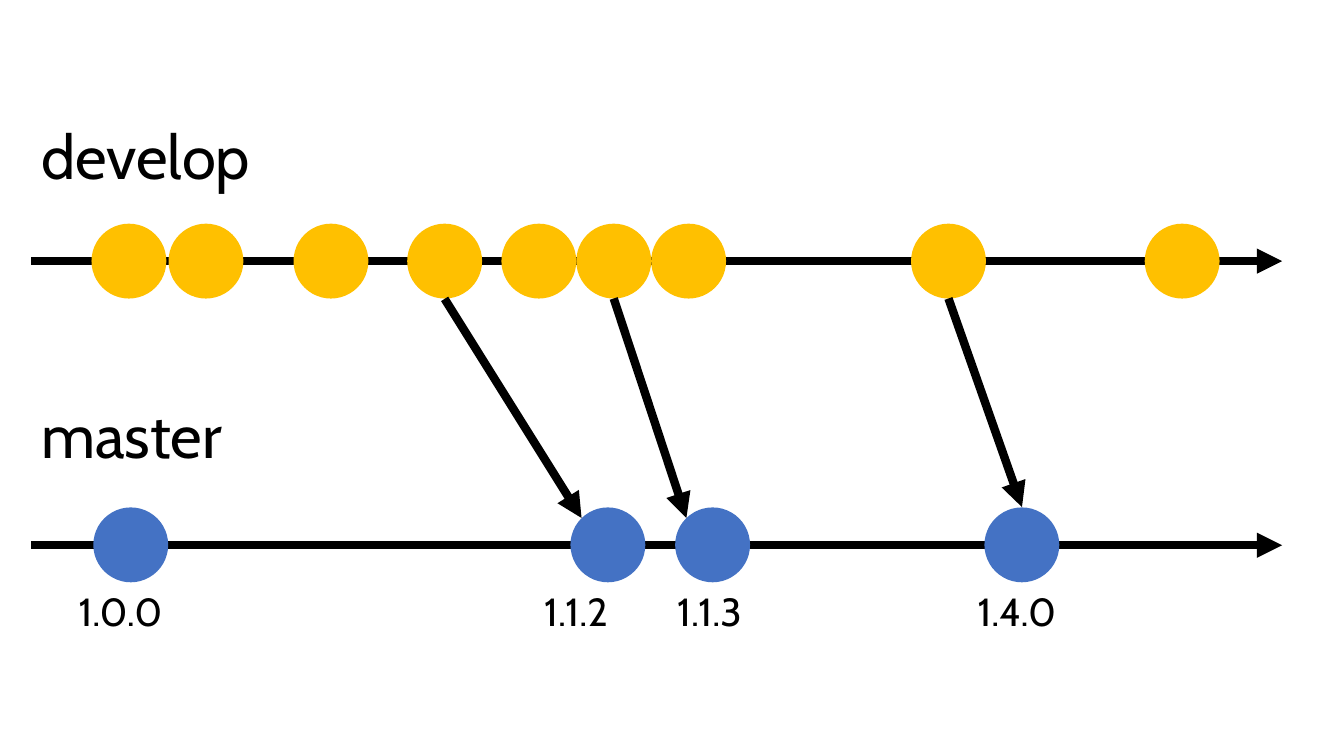
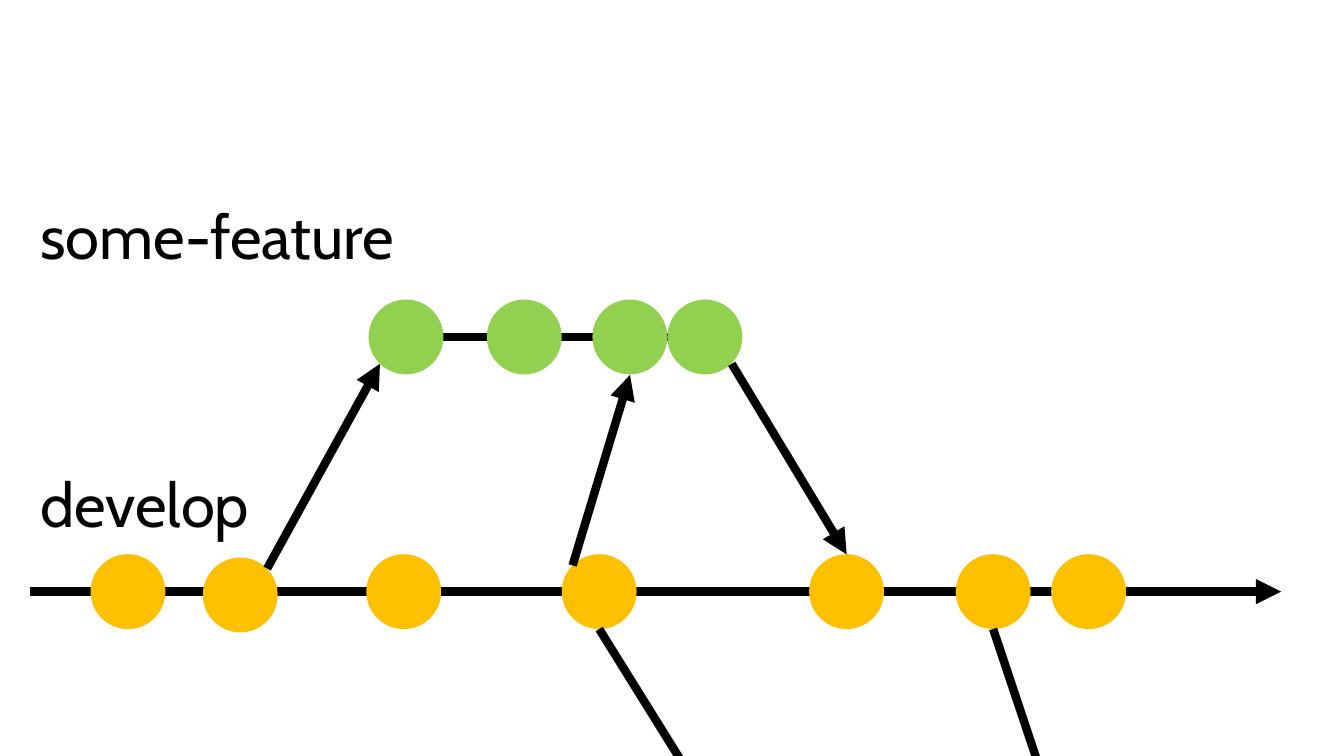
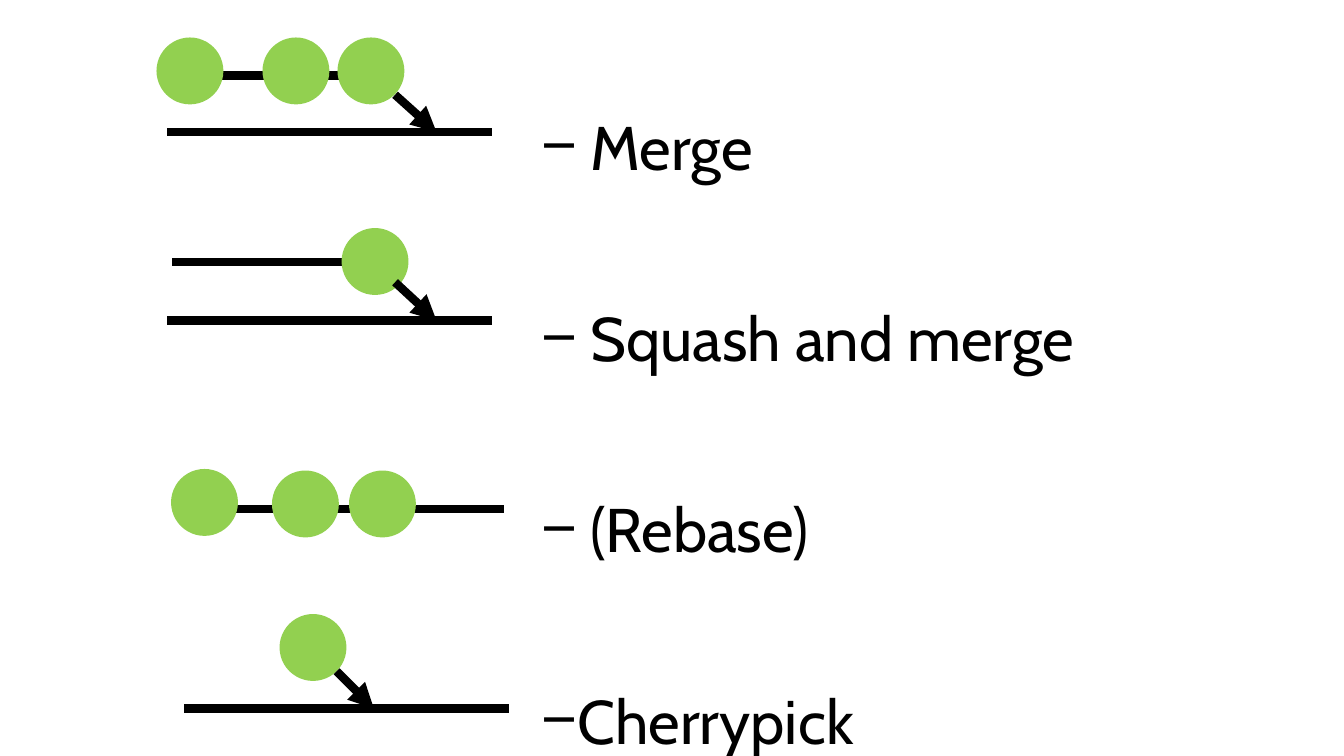
"""Three slides on branches, releases and ways of merging."""
from dataclasses import dataclass

from lxml import etree
from pptx import Presentation
from pptx.dml.color import RGBColor
from pptx.enum.shapes import MSO_CONNECTOR, MSO_SHAPE
from pptx.enum.text import MSO_ANCHOR, MSO_AUTO_SIZE
from pptx.oxml.ns import qn
from pptx.util import Pt

STRAIGHT = MSO_CONNECTOR.STRAIGHT
OVAL = MSO_SHAPE.OVAL
TOP = MSO_ANCHOR.TOP
NO_FIT = MSO_AUTO_SIZE.NONE
CONTENT_LAYOUT, BLANK_LAYOUT = 1, 6


@dataclass(frozen=True)
class Theme:
    font: str = "Cabin"
    ink: RGBColor = RGBColor(0x00, 0x00, 0x00)
    master: RGBColor = RGBColor(0x44, 0x72, 0xC4)
    develop: RGBColor = RGBColor(0xFF, 0xC0, 0x00)
    feature: RGBColor = RGBColor(0x92, 0xD0, 0x50)
    label_size: float = 44
    version_size: float = 28
    stroke: float = 6
    commit: float = 53.5
    small_commit: float = 47.8


THEME = Theme()


@dataclass(frozen=True)
class Line:
    x1: float
    y1: float
    x2: float
    y2: float
    arrow: bool = True


@dataclass(frozen=True)
class Commits:
    color: RGBColor
    y: float
    centers: tuple[float, ...]
    size: float = THEME.commit


@dataclass(frozen=True)
class Diagram:
    lanes: tuple[Line, ...]
    commits: tuple[Commits, ...]
    arrows: tuple[Line, ...] = ()


@dataclass(frozen=True)
class Label:
    text: str
    x: float
    y: float
    w: float
    h: float
    size: float = THEME.label_size
    spacing: float = 0.8


def small(y: float, *centers: float) -> Commits:
    return Commits(THEME.feature, y, centers, THEME.small_commit)


def base(x: float, y: float) -> Line:
    return Line(x, y, x + 231.9, y, arrow=False)


RELEASES = Diagram(
    lanes=(Line(22.3, 389.5, 915.8, 389.5), Line(22.3, 186.5, 915.8, 186.5)),
    commits=(
        Commits(THEME.master, 389.2, (93.4, 434.2, 509, 729.9)),
        Commits(THEME.develop, 186.5,
                (92.1, 147.1, 236.4, 317.6, 384.9, 438.4, 491.9, 677.5, 844.4)),
    ),
    arrows=(
        Line(317.6, 213.5, 415.4, 370),
        Line(438.4, 213.2, 490.3, 370),
        Line(677.5, 213.2, 730, 362.2),
    ),
)

FEATURE = Diagram(
    lanes=(Line(288, 240.6, 522.7, 240.6), Line(21.6, 422.6, 915.1, 422.6)),
    commits=(
        Commits(THEME.develop, 422.6, (91.4, 288.4, 428, 604.7, 709.4, 777.6)),
        Commits(THEME.develop, 425, (171.6,)),
        Commits(THEME.feature, 240.7, (290, 374.5, 449.9, 503.5)),
    ),
    arrows=(
        Line(428, 449.3, 525.6, 606.2),
        Line(709.4, 449.3, 761.8, 606.2),
        Line(190.8, 406.1, 271.4, 259.9),
        Line(409, 403.9, 450, 267.8),
        Line(522.7, 259.9, 604.8, 396),
    ),
)

MERGE_WAYS = (
    Diagram((Line(123, 54, 287.3, 54), base(119.5, 94.3)),
            (small(50.7, 135.7, 211.4, 265),),
            (Line(282.2, 67.7, 311.8, 94.3),)),
    Diagram((Line(123, 187.2, 287.3, 187.2), base(119.5, 229)),
            (small(186.8, 267.9),),
            (Line(282.2, 201.6, 311.8, 229),)),
    Diagram((base(128.2, 363.6),),
            (small(358.9, 146.1), small(360, 218.2, 273.2))),
    Diagram((base(131.8, 506.2),),
            (small(462.5, 223.6),),
            (Line(240.5, 479.5, 267.1, 506.2),)),
)

WAY_NAMES = (("Merge", 35), ("Squash and merge", 35), ("(Rebase)", 35), ("Cherrypick", 25))
VERSIONS = (("1.0.0", 49), ("1.1.2", 381.6), ("1.1.3", 476.6), ("1.4.0", 691.2))


def draw_line(shapes, line: Line) -> None:
    cxn = shapes.add_connector(STRAIGHT, Pt(line.x1), Pt(line.y1), Pt(line.x2), Pt(line.y2))
    cxn.line.color.rgb = THEME.ink
    cxn.line.width = Pt(THEME.stroke)
    if line.arrow:
        ln = cxn.line._get_or_add_ln()
        etree.SubElement(ln, qn("a:tailEnd"), type="triangle")
    etree.SubElement(cxn._element.spPr, qn("a:effectLst"))


def draw_commits(shapes, row: Commits) -> None:
    for x in row.centers:
        sp = shapes.add_shape(OVAL, Pt(x - row.size / 2), Pt(row.y - row.size / 2),
                              Pt(row.size), Pt(row.size))
        sp.shadow.inherit = False
        sp.fill.solid()
        sp.fill.fore_color.rgb = row.color
        sp.line.fill.background()


def draw_diagram(shapes, diagram: Diagram) -> None:
    for lane in diagram.lanes:
        draw_line(shapes, lane)
    for row in diagram.commits:
        draw_commits(shapes, row)
    for arrow in diagram.arrows:
        draw_line(shapes, arrow)


def style_paragraph(p, size: float, spacing: float, before: float = 0) -> None:
    p.line_spacing = spacing
    p.space_before = Pt(before)
    for r in p.runs:
        r.font.name = THEME.font
        r.font.size = Pt(size)
        r.font.color.rgb = THEME.ink


def set_bullet(p, char: str = "", indent: float = 0) -> None:
    pPr = p._p.get_or_add_pPr()
    pPr.set("marL", str(Pt(indent)))
    pPr.set("indent", str(-Pt(indent)))
    if char:
        etree.SubElement(pPr, qn("a:buChar"), char=char)
    else:
        etree.SubElement(pPr, qn("a:buNone"))


def place(sp, x: float, y: float, w: float, h: float) -> None:
    sp.left, sp.top, sp.width, sp.height = Pt(x), Pt(y), Pt(w), Pt(h)
    tf = sp.text_frame
    tf.word_wrap = True
    tf.auto_size = NO_FIT
    tf.vertical_anchor = TOP


def write_label(sp, label: Label) -> None:
    place(sp, label.x, label.y, label.w, label.h)
    sp.text_frame.text = label.text
    p = sp.text_frame.paragraphs[0]
    set_bullet(p)
    style_paragraph(p, label.size, label.spacing)


def add_label(s, label: Label) -> None:
    write_label(s.shapes.add_textbox(0, 0, 0, 0), label)


def add_body_slide(prs):
    s = prs.slides.add_slide(prs.slide_layouts[CONTENT_LAYOUT])
    title = s.shapes.title.element
    title.getparent().remove(title)
    return s, s.placeholders[1]


def build_releases(prs) -> None:
    s, body = add_body_slide(prs)
    write_label(body, Label("master", 22.3, 290.2, 196.6, 53.3))
    add_label(s, Label("develop", 22.3, 90.7, 196.6, 53.3))
    draw_diagram(s.shapes, RELEASES)
    for text, x in VERSIONS:
        add_label(s, Label(text, x, 416.2, 98, 41, THEME.version_size, 1))


def build_feature(prs) -> None:
    s = prs.slides.add_slide(prs.slide_layouts[BLANK_LAYOUT])
    add_label(s, Label("develop", 21.6, 339.8, 196.6, 53.3))
    add_label(s, Label("some-feature", 21.6, 144, 296, 67, spacing=0.9))
    draw_diagram(s.shapes, FEATURE)


def build_merge_ways(prs) -> None:
    s, body = add_body_slide(prs)
    place(body, 379.4, 0, 509.8, 540)
    tf = body.text_frame
    tf.text = "\n".join(name for name, _ in WAY_NAMES)
    for i, (p, (_, indent)) in enumerate(zip(tf.paragraphs, WAY_NAMES)):
        set_bullet(p, "−", indent)
        style_paragraph(p, THEME.label_size, 2.4, 10 if i else 0)
    for diagram in MERGE_WAYS:
        draw_diagram(s.shapes.add_group_shape().shapes, diagram)


def main() -> None:
    prs = Presentation()
    prs.slide_width, prs.slide_height = Pt(960), Pt(540)
    build_releases(prs)
    build_feature(prs)
    build_merge_ways(prs)
    prs.save("out.pptx")


if __name__ == "__main__":
    main()
